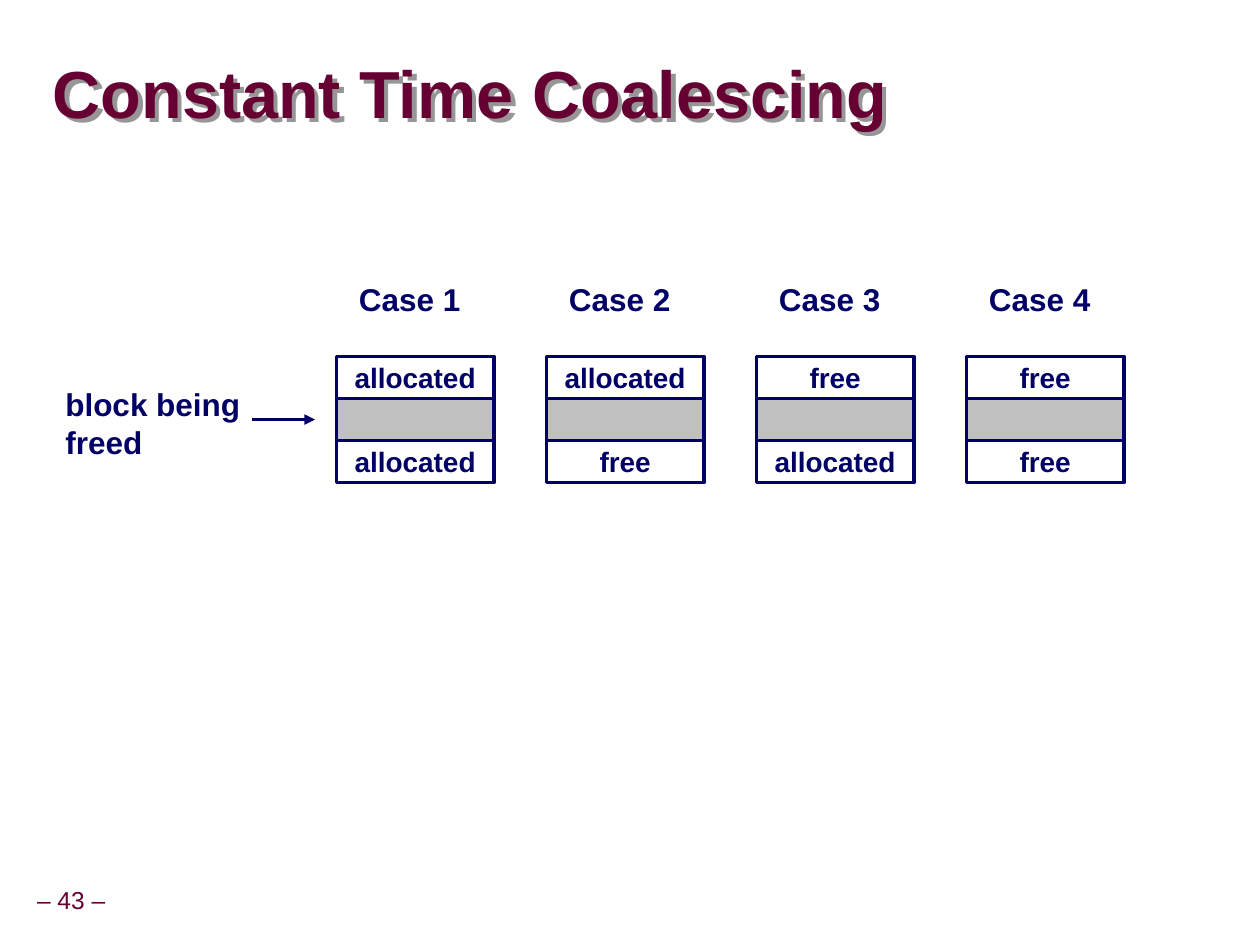
from lxml.etree import SubElement
from pptx import Presentation
from pptx.dml.color import RGBColor
from pptx.enum.shapes import MSO_CONNECTOR, MSO_SHAPE
from pptx.enum.text import MSO_ANCHOR, MSO_AUTO_SIZE, PP_ALIGN
from pptx.oxml.ns import qn
from pptx.util import Inches, Pt

# Content: each case lists the block before and the block after the freed one
TITLE = "Constant Time Coalescing"
PAGE_NUMBER = "– 43 –"
FREED_LABEL = ["block being", "freed"]
CASES = [
    ("Case 1", "allocated", "allocated"),
    ("Case 2", "allocated", "free"),
    ("Case 3", "free", "allocated"),
    ("Case 4", "free", "free"),
]

MAROON = RGBColor(0x66, 0x00, 0x33)
NAVY = RGBColor(0x00, 0x00, 0x66)
GRAY = RGBColor(0xC0, 0xC0, 0xC0)
SHADOW_GRAY = RGBColor(0x96, 0x96, 0x96)
WHITE = RGBColor(0xFF, 0xFF, 0xFF)

# Grid of blocks, in inches
FIRST_LEFT, TOP = 2.67, 2.83
COLUMN_STEP = 5 / 3
BLOCK_WIDTH, BLOCK_HEIGHT = 1.25, 1 / 3


def set_font(paragraph, size, color, bold=True):
    font = paragraph.font
    font.name, font.size, font.bold = "Arial", Pt(size), bold
    font.color.rgb = color


def add_label(page, lines, left, top, width, height, size=18, color=NAVY, bold=True):
    box = page.shapes.add_textbox(Inches(left), Inches(top), Inches(width), Inches(height))
    frame = box.text_frame
    frame.word_wrap = False
    frame.auto_size = MSO_AUTO_SIZE.SHAPE_TO_FIT_TEXT
    frame.text = "\n".join(lines)
    for paragraph in frame.paragraphs:
        set_font(paragraph, size, color, bold)
    return frame


def add_block(page, left, row, text, fill):
    block = page.shapes.add_shape(
        MSO_SHAPE.RECTANGLE, Inches(left), Inches(TOP + row * BLOCK_HEIGHT),
        Inches(BLOCK_WIDTH), Inches(BLOCK_HEIGHT))
    block.shadow.inherit = False
    block.fill.solid()
    block.fill.fore_color.rgb = fill
    block.line.color.rgb = NAVY
    block.line.width = Pt(2)
    if text:
        frame = block.text_frame
        frame.word_wrap = False
        frame.vertical_anchor = MSO_ANCHOR.MIDDLE
        frame.text = text
        frame.paragraphs[0].alignment = PP_ALIGN.CENTER
        set_font(frame.paragraphs[0], 16, NAVY)


def add_title(page):
    title = page.shapes.title
    title.left, title.top = Inches(0.42), Inches(0.46)
    title.width, title.height = Inches(7.68), Inches(0.63)
    frame = title.text_frame
    frame.auto_size = MSO_AUTO_SIZE.NONE
    frame.vertical_anchor = MSO_ANCHOR.MIDDLE
    frame.margin_left = frame.margin_right = frame.margin_top = frame.margin_bottom = 0
    frame.text = TITLE
    paragraph = frame.paragraphs[0]
    paragraph.alignment = PP_ALIGN.LEFT
    paragraph.line_spacing = 0.87
    set_font(paragraph, 38, MAROON)

    # With no fill or line, the shadow is cast by the letters
    title.fill.background()
    title.line.fill.background()
    effects = SubElement(title._element.spPr, qn("a:effectLst"))
    shadow = SubElement(effects, qn("a:outerShdw"), blurRad="0", dist=str(Pt(3.6)),
                        dir="2700000", algn="ctr", rotWithShape="0")
    SubElement(shadow, qn("a:srgbClr"), val=str(SHADOW_GRAY))


def add_arrow(page):
    middle = Inches(TOP + 1.5 * BLOCK_HEIGHT)
    arrow = page.shapes.add_connector(
        MSO_CONNECTOR.STRAIGHT, Inches(2), middle, Inches(2.5), middle)
    arrow.line.color.rgb = NAVY
    arrow.line.width = Pt(2)
    SubElement(arrow.line._get_or_add_ln(), qn("a:tailEnd"), type="triangle")
    SubElement(arrow._element.spPr, qn("a:effectLst"))


def main():
    deck = Presentation()
    deck.slide_width, deck.slide_height = Inches(10), Inches(7.5)
    page = deck.slides.add_slide(deck.slide_layouts[5])
    add_title(page)

    # Page number
    frame = add_label(page, [PAGE_NUMBER], -0.09, 7, 1.31, 0.31, 14, MAROON, False)
    frame.vertical_anchor = MSO_ANCHOR.MIDDLE
    frame.margin_left = frame.margin_right = Inches(0.05)
    frame.paragraphs[0].alignment = PP_ALIGN.CENTER
    frame.paragraphs[0].line_spacing = 0.9

    # Cases: a heading above three stacked blocks
    for column, (name, before, after) in enumerate(CASES):
        left = FIRST_LEFT + column * COLUMN_STEP
        add_label(page, [name], left + 0.08, 2.17, 1.05, 0.4)
        add_block(page, left, 1, "", GRAY)
        add_block(page, left, 0, before, WHITE)
        add_block(page, left, 2, after, WHITE)

    # Pointer to the freed block
    add_label(page, FREED_LABEL, 0.42, 3.01, 1.59, 0.7)
    add_arrow(page)
    deck.save("out.pptx")


if __name__ == "__main__":
    main()
